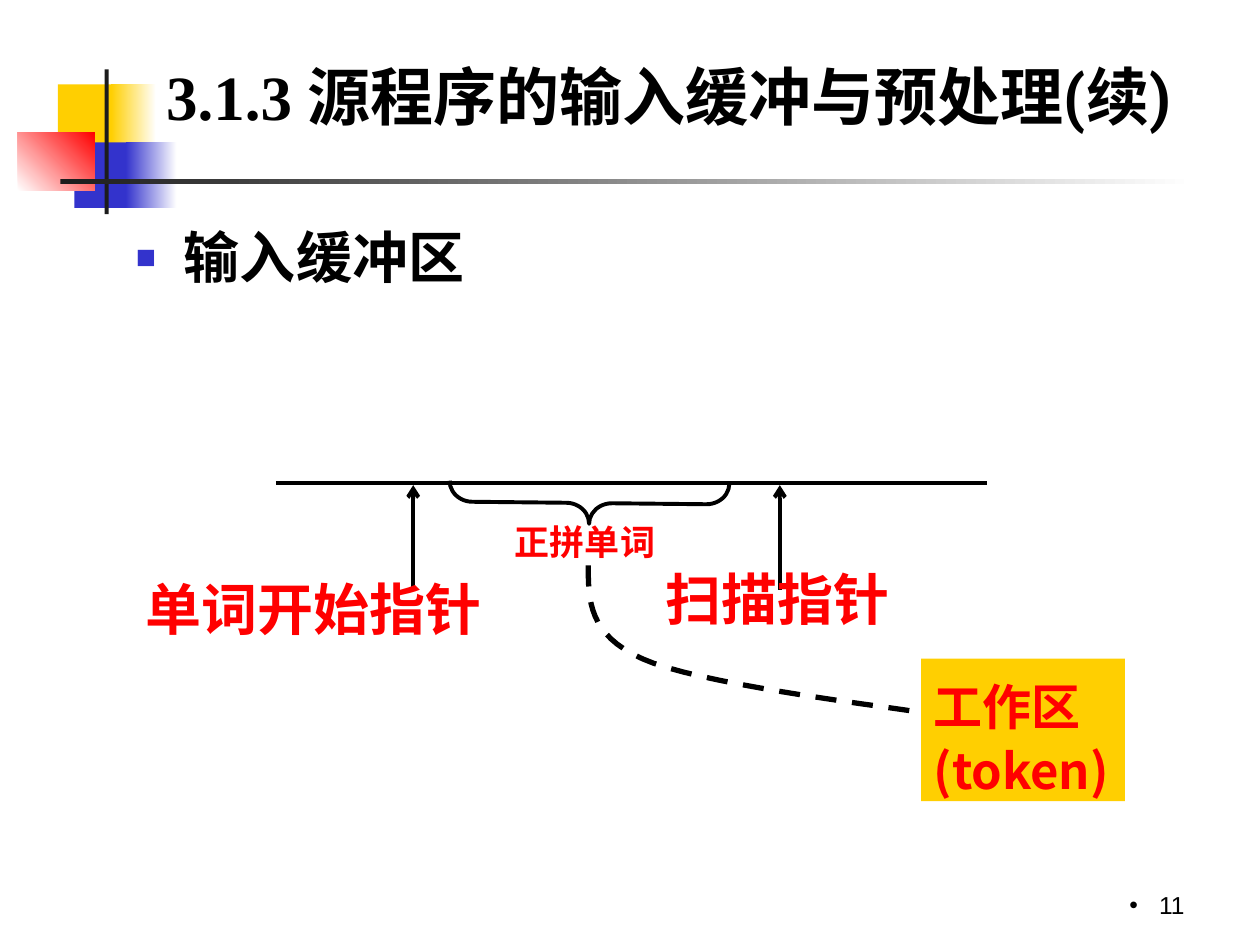
from lxml import etree
from pptx import Presentation
from pptx import util as u
from pptx.dml.color import RGBColor
from pptx.enum import dml, shapes, text
from pptx.oxml.ns import qn

Cm, Pt = u.Cm, u.Pt
BLACK = RGBColor(0x00, 0x00, 0x00)
WHITE = RGBColor(0xFF, 0xFF, 0xFF)
CHARCOAL = RGBColor(0x1C, 0x1C, 0x1C)
GOLD = RGBColor(0xFF, 0xCF, 0x01)
BLUE = RGBColor(0x33, 0x33, 0xCC)
RED = RGBColor(0xFF, 0x00, 0x00)
CJK = "Noto Sans CJK SC"
SERIF = "Times New Roman"


def add_run(p, content, font=SERIF, size=32, color=BLACK, bold=True):
    r = p.add_run()
    r.text = content
    r.font.name, r.font.size, r.font.bold = font, Pt(size), bold
    r.font.color.rgb = color
    etree.SubElement(r.font._element, qn("a:ea"), typeface=CJK)


def add_bullet(p, char, color, indent, percent=100):
    pPr = p._p.get_or_add_pPr()
    pPr.set("marL", str(Cm(indent)))
    pPr.set("indent", str(-Cm(indent)))
    clr = etree.SubElement(pPr, qn("a:buClr"))
    etree.SubElement(clr, qn("a:srgbClr"), val=str(color))
    etree.SubElement(pPr, qn("a:buSzPct"), val=str(percent * 1000))
    etree.SubElement(pPr, qn("a:buFont"), typeface="Arial")
    etree.SubElement(pPr, qn("a:buChar"), char=char)


def bezier(start, c1, c2, end, steps=16):
    """Points along a cubic curve, without its start."""
    for i in range(1, steps + 1):
        t = i / steps
        weights = ((1 - t) ** 3, 3 * t * (1 - t) ** 2, 3 * t * t * (1 - t), t ** 3)
        yield tuple(Cm(sum(w * v for w, v in zip(weights, axis)))
                    for axis in zip(start, c1, c2, end))


class Board:
    """Current slide and the common style of its elements."""

    line_width = 2.25

    def __init__(self, slide):
        self.s = slide

    def outline(self, line, width=line_width):
        line.color.rgb = BLACK
        line.width = Pt(width)

    def rect(self, box, color, fade_to=None, angle=0):
        sp = self.s.shapes.add_shape(shapes.MSO_SHAPE.RECTANGLE, *map(Cm, box))
        sp.shadow.inherit = False
        sp.line.fill.background()
        if fade_to is None:
            sp.fill.solid()
            sp.fill.fore_color.rgb = color
        else:
            sp.fill.gradient()
            sp.fill.gradient_angle = angle
            for stop, rgb in zip(sp.fill.gradient_stops, (color, fade_to)):
                stop.color.rgb = rgb
        return sp

    def frame(self, sp, anchor=text.MSO_ANCHOR.TOP, align=text.PP_ALIGN.LEFT):
        """Prepare the text frame of a shape and return its first paragraph."""
        tf = sp.text_frame
        tf.word_wrap = True
        tf.margin_right = 0
        tf.vertical_anchor = anchor
        p = tf.paragraphs[0]
        p.alignment = align
        return p

    def textbox(self, box, **layout):
        return self.frame(self.s.shapes.add_textbox(*map(Cm, box)), **layout)

    def label(self, box, content, size=32):
        add_run(self.textbox(box), content, size=size, color=RED)

    def line(self, x1, y1, x2, y2, arrow=False):
        c = self.s.shapes.add_connector(
            shapes.MSO_CONNECTOR.STRAIGHT, *map(Cm, (x1, y1, x2, y2)))
        self.outline(c.line)
        if arrow:
            etree.SubElement(c.line._get_or_add_ln(), qn("a:tailEnd"), type="arrow")
        etree.SubElement(c._element.spPr, qn("a:effectLst"))

    def brace(self, box, rotation):
        sp = self.s.shapes.add_shape(shapes.MSO_SHAPE.LEFT_BRACE, *map(Cm, box))
        sp.shadow.inherit = False
        sp.fill.background()
        sp.rotation = rotation
        sp.adjustments[0] = 0.55
        self.outline(sp.line)

    def dashed_curve(self, start, *segments):
        fb = self.s.shapes.build_freeform(*map(Cm, start), scale=1.0)
        for segment in segments:
            fb.add_line_segments(list(bezier(start, *segment)), close=False)
            start = segment[-1]
        sp = fb.convert_to_shape()
        sp.shadow.inherit = False
        sp.fill.background()
        self.outline(sp.line, 3)
        sp.line.dash_style = dml.MSO_LINE.DASH


def add_decoration(b):
    b.rect((1.17, 1.7, 1.22, 1.32), GOLD)
    b.rect((2.24, 1.7, 0.91, 1.32), GOLD, WHITE)
    b.rect((1.5, 2.87, 1.17, 1.32), BLUE)
    b.rect((2.54, 2.87, 1.02, 1.32), BLUE, WHITE)
    b.rect((0.36, 2.67, 1.55, 1.17), WHITE, RED, angle=45)
    b.rect((2.11, 1.4, 0.08, 2.92), CHARCOAL)
    b.rect((1.22, 3.61, 22.86, 0.1), CHARCOAL, WHITE)


def add_headings(b):
    p = b.textbox((3.1, 0.71, 22, 2.44), anchor=text.MSO_ANCHOR.MIDDLE)
    add_run(p, "3.1.3 ", size=36)
    add_run(p, "源程序的输入缓冲与预处理(续)", font="Roboto", size=36)

    p = b.textbox((2.49, 4.37, 22.38, 4.06))
    add_bullet(p, "■", BLUE, 0.97, percent=60)
    add_run(p, "输入缓冲区", font="Roboto")

    p = b.textbox((18.21, 17.35, 5.67, 1.32), anchor=text.MSO_ANCHOR.BOTTOM,
                  align=text.PP_ALIGN.RIGHT)
    add_bullet(p, "•", BLACK, 0.6)
    add_run(p, "11", font="Arial", size=14, bold=False)


def add_buffer_diagram(b):
    b.line(5.56, 9.73, 19.89, 9.73)
    work_area = b.rect((18.57, 13.28, 4.11, 2.87), GOLD)
    p = b.frame(work_area)
    work_area.text_frame.margin_top = Cm(0.25)
    p.line_spacing = Pt(36.5)
    add_run(p, "工作区(token)", font=CJK, size=28, color=RED)

    b.dashed_curve((11.86, 11.4),
                   ((11.86, 12.09), (11.86, 12.8), (12.95, 13.28)),
                   ((14.02, 13.77), (17.5, 14.2), (18.36, 14.33)))
    for x in (8.33, 15.72):
        b.line(x, 11.89, x, 9.78, arrow=True)
    b.label((2.69, 11.46, 7.49, 1.75), "单词开始指针")
    b.label((13.16, 11.25, 5.05, 1.75), "扫描指针")
    b.brace((11.46, 7.32, 0.84, 5.64), 270.6)
    b.label((10.13, 10.36, 3.84, 1.19), "正拼单词", size=20)


def main():
    prs = Presentation()
    prs.slide_width, prs.slide_height = Cm(25.4), Cm(19.05)
    b = Board(prs.slides.add_slide(prs.slide_layouts[6]))
    add_decoration(b)
    add_buffer_diagram(b)
    add_headings(b)
    prs.save("out.pptx")


if __name__ == "__main__":
    main()
